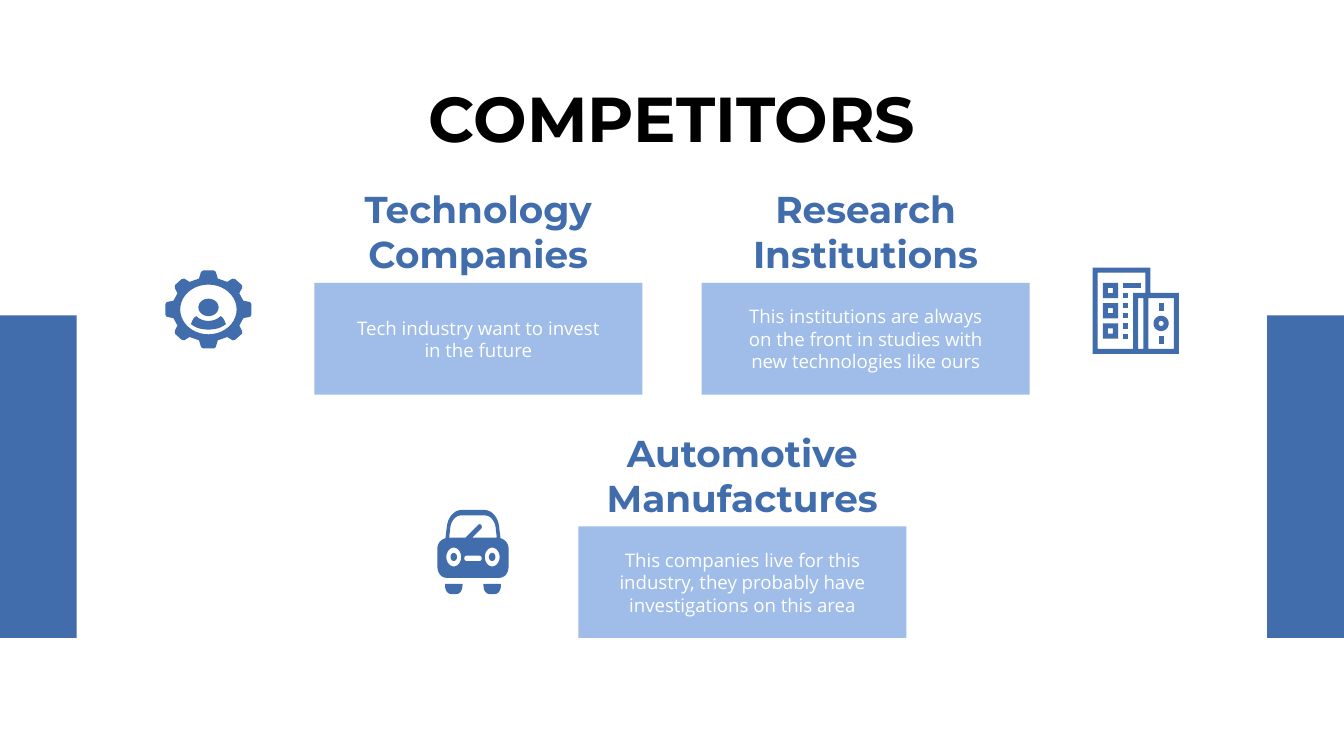
import math

from lxml import etree
from pptx import Presentation, util as u
from pptx.dml.color import RGBColor
from pptx.enum import shapes, text
from pptx.oxml import ns


def colour(code):
    return RGBColor.from_string(code)


def write(frame, words, font="Open Sans", size=10, tint="FFFFFF", bold=False,
          anchor=text.MSO_ANCHOR.MIDDLE):
    """Put one centred paragraph into a text frame."""
    frame.word_wrap = True
    frame.vertical_anchor = anchor
    frame.margin_left = frame.margin_right = u.Cm(0.25)
    frame.margin_top = frame.margin_bottom = u.Cm(0.25)
    para = frame.paragraphs[0]
    para.alignment = text.PP_ALIGN.CENTER
    span = para.add_run()
    span.text = words
    span.font.name, span.font.size, span.font.bold = font, u.Pt(size), bold
    span.font.color.rgb = colour(tint)


# Outline geometry
def trace(*steps):
    """Turn (x, y) corners and six-number cubic curves into points."""
    points = []
    for step in steps:
        if len(step) == 2:
            points.append(step)
            continue
        nodes = [points[-1], step[:2], step[2:4], step[4:]]
        for i in range(1, 9):
            t = i / 8
            weights = ((1 - t) ** 3, 3 * t * (1 - t) ** 2, 3 * t * t * (1 - t), t ** 3)
            points.append(tuple(sum(w * node[axis] for w, node in zip(weights, nodes))
                                for axis in (0, 1)))
    return points


def mirror(points, x=-1, y=1):
    """Close a half outline with its reflection."""
    return points + [(x * px, y * py) for px, py in reversed(points)]


def ellipse(cx, cy, rx, ry):
    angles = [math.tau * i / 40 for i in range(40)]
    return [(cx + rx * math.cos(a), cy + ry * math.sin(a)) for a in angles]


def block(left, top, right, bottom):
    return [(left, top), (right, top), (right, bottom), (left, bottom)]


class Board:
    blue, pale = "416DAC", "8CB0E4"
    heading_font = "Montserrat"

    def __init__(self, page):
        self.page = page

    def paint(self, shape, tint, alpha=None):
        shape.shadow.inherit = False
        shape.line.fill.background()
        shape.fill.solid()
        shape.fill.fore_color.rgb = colour(tint)
        if alpha:
            node = shape.element.spPr.find(".//" + ns.qn("a:srgbClr"))
            etree.SubElement(node, ns.qn("a:alpha"), val=str(alpha * 1000))

    def box(self, left, top, width, height, tint, alpha=None):
        shape = self.page.shapes.add_shape(
            shapes.MSO_SHAPE.RECTANGLE, u.Cm(left), u.Cm(top), u.Cm(width), u.Cm(height))
        self.paint(shape, tint, alpha)

    def label(self, left, top, width, height, words, **style):
        box = self.page.shapes.add_textbox(
            u.Cm(left), u.Cm(top), u.Cm(width), u.Cm(height))
        write(box.text_frame, words, **style)

    def card(self, left, top, heading, body):
        width, height, inset = 6.2, 2.11, 0.48
        self.box(left, top, width, height, self.pale, alpha=83)
        self.label(left, top - 1.71, width, 1.47, heading,
                   font=self.heading_font, size=20, tint=self.blue, bold=True)
        self.label(left + inset, top, width - 2 * inset, height, body)

    def outline(self, left, top, unit, contours):
        """Draw contours as one shape; nested contours become holes."""
        placed = [[(u.Cm(left + unit * x), u.Cm(top + unit * y)) for x, y in contour]
                  for contour in contours]
        builder = self.page.shapes.build_freeform(*placed[0][0], scale=1.0)
        for i, points in enumerate(placed):
            if i:
                builder.move_to(*points[0])
            builder.add_line_segments(points[1:], close=True)
        self.paint(builder.convert_to_shape(), self.blue)

    def icon(self, left, top, unit, pieces):
        for contours in pieces:
            self.outline(left, top, unit, contours)


# Icons: each is a list of pieces, each piece a list of contours
def gear():
    quarter = [(0, -29), (4, -29), (5.5, -28), (7, -23), (14, -20.5), (18, -23),
               (20, -22.5), (25, -18), (25, -16), (23, -12), (26, -6.5),
               (31, -5.5), (32, -4)]
    shoulders = trace((0, 8.5), (4, 8.5, 7, 7, 9, 5), (11, 6, 12, 8, 13, 11),
                      (9, 14, 5, 15, 0, 15))
    return [[ellipse(0, -1.5, 7.5, 6.5)],
            [mirror(mirror(quarter, x=1, y=-1)), ellipse(0, 0, 21, 18.5)],
            [mirror(shoulders)]]


def buildings():
    walls = [
        [(0, 0), (11.4, 0), (11.4, 5), (17, 5), (17, 17), (0, 17)],
        [(1, 1), (10.4, 1), (10.4, 5), (8, 5), (8, 16), (1, 16)],
        block(9, 6, 10, 16), block(11, 6, 16, 16)]
    pieces = [walls, [block(13, 7, 14, 8.5)], [block(13, 13.5, 14, 15)],
              [ellipse(13.5, 11, 1.5, 1.5), ellipse(13.5, 11, 0.5, 0.5)],
              [block(6, 3, 9.5, 4)]]
    for top in (3, 7, 11):
        pieces.append([block(2, top, 5, top + 3), block(3, top + 1, 4, top + 2)])
    return pieces + [[block(6, top, 7, top + 1)] for top in range(5, 14, 2)]


def car():
    body = trace((0, 0), (8.5, 0), (14.5, 0, 19, 6, 19.5, 13), (20.5, 21),
                 (24, 22, 26.5, 25, 26.5, 29), (26.5, 42),
                 (26.5, 47, 23.5, 50.5, 19.5, 50.5), (0, 50.5))
    window = trace((-8.5, 4), (8.5, 4), (13, 4, 16.5, 8, 17, 14), (17.7, 20.5),
                   (-0.5, 20.5), (6, 14), (7, 13, 6.5, 12, 6, 11),
                   (5.5, 10.5, 4.5, 10.5, 4, 11), (-5.5, 20.5), (-17.7, 20.5),
                   (-17, 14), (-16.5, 8, -13, 4, -8.5, 4))
    grille = trace((0, 34), (5, 34), (7, 34, 7, 38, 5, 38), (0, 38))
    tyre = mirror(trace((0, 55), (6.5, 55), (6.5, 56), (6.5, 60, 4.5, 62.5, 2, 62.5),
                        (0, 62.5)))
    sides = (-14.3, 14.3)
    lamps = [ellipse(x, 35, 5.5, 7) for x in sides]
    bulbs = [[ellipse(x, 35, 2.4, 3)] for x in sides]
    tyres = [[[(x + px, y) for px, y in tyre]] for x in sides]
    return bulbs + [[mirror(body), window, mirror(grille), *lamps]] + tyres


def main():
    deck = Presentation()
    deck.slide_width, deck.slide_height = u.Cm(25.4), u.Cm(14.29)
    board = Board(deck.slides.add_slide(deck.slide_layouts[6]))

    # Side bars
    for left in (0, 23.95):
        board.box(left, 5.96, 1.45, 6.1, board.blue)

    # Title
    board.label(2, 1.24, 21.4, 1.6, "COMPETITORS", font=board.heading_font, size=34,
                tint="000000", bold=True, anchor=text.MSO_ANCHOR.TOP)

    # Competitor cards
    for left, top, heading, body in (
        (5.94, 5.35, "Technology Companies", "Tech industry want to invest in the future"),
        (13.26, 5.35, "Research Institutions",
         "This institutions are always on the front in studies with new technologies like ours"),
        (10.93, 9.95, "Automotive Manufactures",
         "This companies live for this industry, they probably have investigations on this area"),
    ):
        board.card(left, top, heading, body)

    # Icons
    hundredth = u.Inches(0.01).cm
    board.icon(3.94, 5.85, hundredth, gear())
    board.icon(20.65, 5.06, 1.63 / 17, buildings())
    board.icon(8.94, 9.64, hundredth, car())

    deck.save("out.pptx")


if __name__ == "__main__":
    main()
